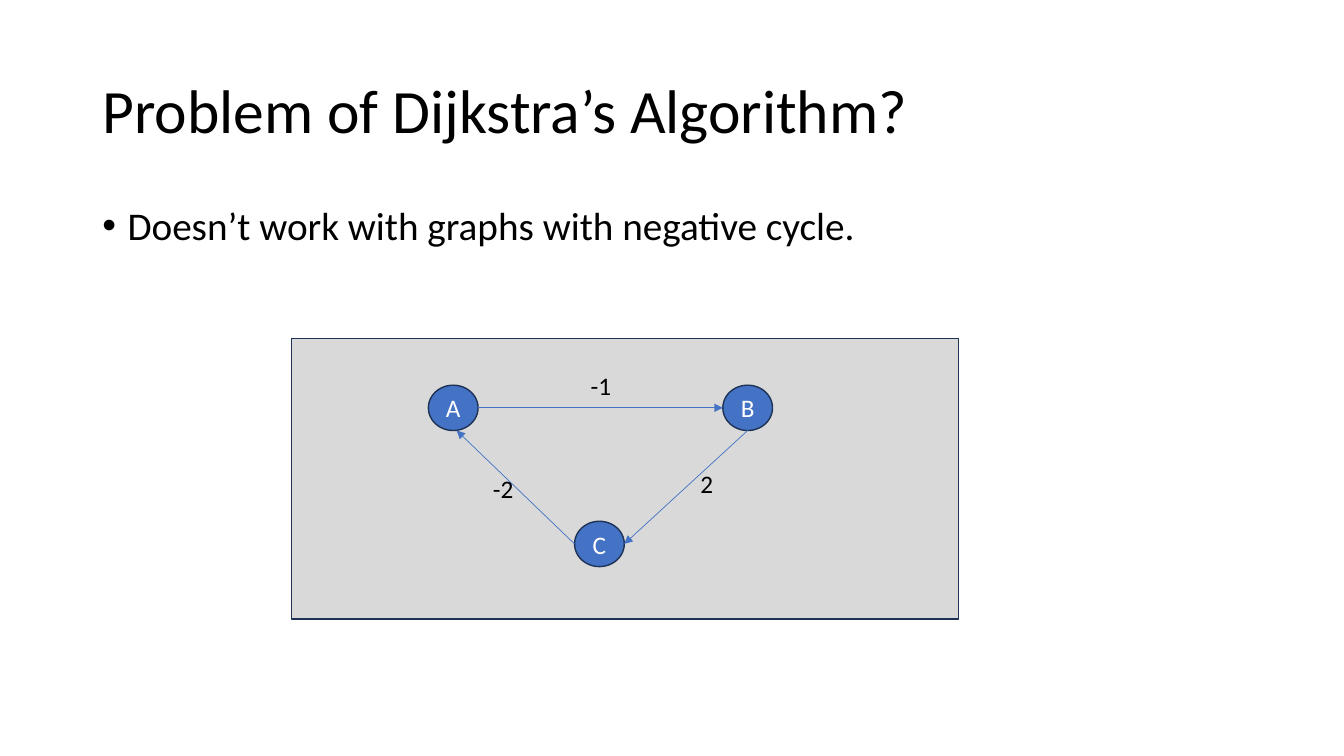
import lxml.etree
import pptx
import pptx.dml.color
import pptx.enum.shapes
import pptx.enum.text
import pptx.oxml.ns
import pptx.util

COLOURS = {"text": "000000", "node": "4472C4", "node_text": "FFFFFF",
           "panel": "D9D9D9", "outline": "1E3256"}
ANCHOR = pptx.enum.text.MSO_ANCHOR
SHAPES = pptx.enum.shapes.MSO_SHAPE

# Centres in percent of the slide's width and height.
NODES = {"A": (33.72, 53.95), "B": (55.63, 53.95), "C": (44.6, 71.95)}
NODE_SIZE = (3.7, 6)
# Attachment points in node widths and heights from the centre.
SIDES = {"left": (-0.5, 0), "right": (0.5, 0), "bottom": (0, 0.5),
         "low right": (0.07, 0.5)}
EDGES = [("A", "right", "B", "left"), ("B", "bottom", "C", "right"),
         ("C", "left", "A", "low right")]
WEIGHTS = [("-1", 43.2, 48.27, 3.08), ("2", 51.38, 61.33, 2.48),
           ("-2", 35.93, 62, 3.08)]


def colour(name):
    return pptx.dml.color.RGBColor.from_string(COLOURS[name])


def apply(target, values):
    for name, value in values.items():
        setattr(target, name, value)


def add_xml(parent, tag, **attributes):
    return lxml.etree.SubElement(parent, pptx.oxml.ns.qn(tag), **attributes)


class SlideBuilder:
    """Draws on one slide, with all lengths in percent of its size."""

    font = "Calibri"

    def __init__(self, deck):
        self.deck = deck
        self.page = deck.slides.add_slide(deck.slide_layouts[6])

    def scale(self, x, y):
        return (round(self.deck.slide_width * x / 100),
                round(self.deck.slide_height * y / 100))

    def fill_text(self, shape, text, size, ink="text", bullet=False,
                  frame_format=None, para_format=None):
        frame = shape.text_frame
        apply(frame, {"word_wrap": True, **(frame_format or {})})
        para = frame.paragraphs[0]
        apply(para, para_format or {})
        if bullet:
            properties = para._p.get_or_add_pPr()
            indent = pptx.util.Inches(0.25)
            properties.set("marL", str(indent))
            properties.set("indent", str(-indent))
            add_xml(properties, "a:buFont", typeface="Arial")
            add_xml(properties, "a:buChar", char="•")
        span = para.add_run()
        span.text = text
        apply(span.font, {"name": self.font, "size": pptx.util.Pt(size)})
        span.font.color.rgb = colour(ink)

    def text(self, left, top, width, height, text, size, **style):
        box = self.page.shapes.add_textbox(*self.scale(left, top),
                                           *self.scale(width, height))
        self.fill_text(box, text, size, **style)

    def shape(self, kind, left, top, width, height, fill):
        shape = self.page.shapes.add_shape(kind, *self.scale(left, top),
                                           *self.scale(width, height))
        shape.shadow.inherit = False
        shape.fill.solid()
        shape.fill.fore_color.rgb = colour(fill)
        shape.line.color.rgb = colour("outline")
        shape.line.width = pptx.util.Pt(1)
        return shape

    def node(self, name):
        (x, y), (width, height) = NODES[name], NODE_SIZE
        circle = self.shape(SHAPES.OVAL, x - width / 2, y - height / 2,
                            width, height, "node")
        self.fill_text(circle, name, 18, ink="node_text",
                       frame_format={"vertical_anchor": ANCHOR.MIDDLE},
                       para_format={"alignment": pptx.enum.text.PP_ALIGN.CENTER})

    def node_point(self, name, side):
        return self.scale(*(centre + share * size for centre, share, size
                            in zip(NODES[name], SIDES[side], NODE_SIZE)))

    def edge(self, source, source_side, target, target_side):
        arrow = self.page.shapes.add_connector(
            pptx.enum.shapes.MSO_CONNECTOR.STRAIGHT,
            *self.node_point(source, source_side),
            *self.node_point(target, target_side))
        arrow.line.color.rgb = colour("node")
        arrow.line.width = pptx.util.Pt(0.5)
        properties = arrow._element.spPr
        outline = properties.find(pptx.oxml.ns.qn("a:ln"))
        add_xml(outline, "a:tailEnd", type="triangle")
        add_xml(properties, "a:effectLst")


def main():
    deck = pptx.Presentation()
    deck.slide_width = pptx.util.Inches(13.33)
    deck.slide_height = pptx.util.Inches(7.5)
    slide = SlideBuilder(deck)

    slide.text(6.88, 5.32, 86.25, 19.33, "Problem of Dijkstra’s Algorithm?", 44,
               frame_format={"vertical_anchor": ANCHOR.MIDDLE},
               para_format={"line_spacing": 0.9})
    slide.text(6.88, 26.67, 86.25, 63.47,
               "Doesn’t work with graphs with negative cycle.", 28, bullet=True,
               para_format={"line_spacing": 0.9})
    slide.shape(SHAPES.RECTANGLE, 21.7, 44.8, 49.6, 37.07, "panel")
    for name in NODES:
        slide.node(name)
    for edge in EDGES:
        slide.edge(*edge)
    for weight, left, top, width in WEIGHTS:
        slide.text(left, top, width, 5.33, weight, 18, frame_format={
            "word_wrap": False,
            "auto_size": pptx.enum.text.MSO_AUTO_SIZE.SHAPE_TO_FIT_TEXT})

    deck.save("out.pptx")


if __name__ == "__main__":
    main()
